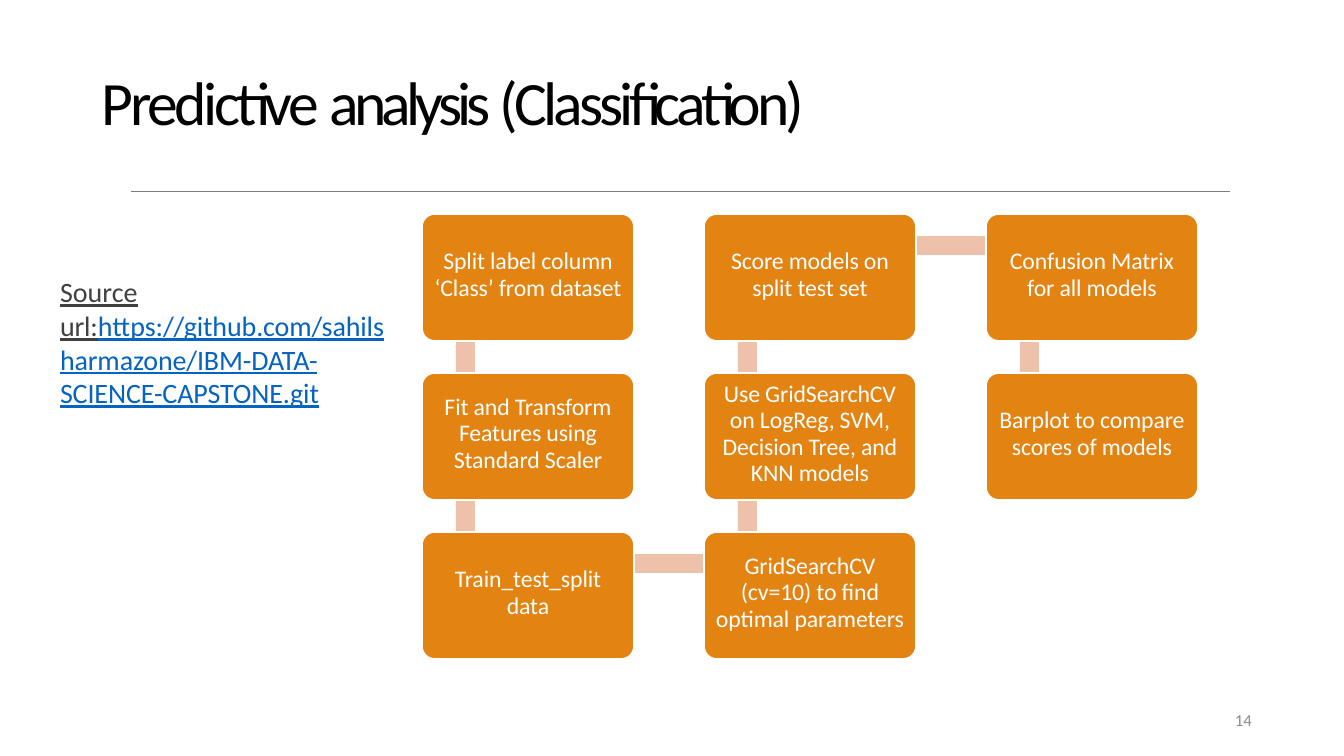
import pptx
import pptx.util
import pptx.dml.color
import pptx.enum.shapes
import pptx.enum.text
import pptx.oxml

SCALE = 914400 / 100.8
COLORS = {
    "rule": "7D7D7D", "title": "000000", "number": "8C8C8C", "label": "404040",
    "url": "0563C1", "card": "E28312", "bar": "EDC1AA", "white": "FFFFFF",
}
SHAPES = pptx.enum.shapes.MSO_SHAPE
ALIGN = pptx.enum.text.PP_ALIGN
ANCHOR = pptx.enum.text.MSO_ANCHOR


def px(*lengths):
    return [round(length * SCALE) for length in lengths]


def write(frame, pieces, size, anchor, align, margins=(0, 0, 0, 0), line_spacing=None):
    """Fill a text frame with one paragraph of (text, colour, tracking, underline) pieces."""
    left, top, right, bottom = px(*margins)
    frame_format = {
        "word_wrap": True, "auto_size": pptx.enum.text.MSO_AUTO_SIZE.NONE,
        "vertical_anchor": anchor, "margin_left": left, "margin_top": top,
        "margin_right": right, "margin_bottom": bottom,
    }
    for name, value in frame_format.items():
        setattr(frame, name, value)
    para = frame.paragraphs[0]
    para.alignment = align
    para.line_spacing = line_spacing
    for text, color, tracking, underline in pieces:
        for index, line in enumerate(text.split("\n")):
            if index:
                para.add_line_break()
            span = para.add_run()
            span.text = line
            font_format = {"name": "Calibri", "size": pptx.util.Pt(size), "underline": underline}
            for name, value in font_format.items():
                setattr(span.font, name, value)
            span.font.color.rgb = pptx.dml.color.RGBColor.from_string(COLORS[color])
            span.font._element.set("spc", str(tracking))


deck = pptx.Presentation()
deck.slide_width, deck.slide_height = px(1344, 756)
slide = deck.slides.add_slide(deck.slide_layouts[5])

# Title and the rule below it
title = slide.shapes.title
title.left, title.top, title.width, title.height = px(102, 59, 873, 84)
title_pieces = [
    ("Predictive ", "title", -250, None),
    ("analysis ", "title", -350, None),
    ("(Classification)", "title", -280, None),
]
write(title.text_frame, title_pieces, 44, ANCHOR.MIDDLE, ALIGN.LEFT)

rule = slide.shapes.add_connector(
    pptx.enum.shapes.MSO_CONNECTOR.STRAIGHT, *px(131, 191, 1230, 191))
rule.line.width = pptx.util.Pt(0.48)
rule.line.color.rgb = pptx.dml.color.RGBColor.from_string(COLORS["rule"])
rule._element.spPr.append(pptx.oxml.parse_xml(
    '<a:effectLst xmlns:a="http://schemas.openxmlformats.org/drawingml/2006/main"/>'))

# Repository address and slide number
address = slide.shapes.add_textbox(*px(59, 274, 338, 172))
address_pieces = [
    ("Source", "label", 0, True),
    (" ", "label", -90, True),
    ("url:", "label", -10, True),
    ("https://github.com/sahilsharmazone/IBM-DATA-SCIENCE-CAPSTONE.git", "url", -10, True),
]
write(address.text_frame, address_pieces, 20, ANCHOR.TOP, ALIGN.LEFT, (1, 1, 0, 0))

number = slide.shapes.add_textbox(*px(950, 700, 302, 40))
write(number.text_frame, [("14", "number", 0, None)], 12, ANCHOR.MIDDLE, ALIGN.RIGHT)

# Flow: column, row and wording of each step, in order
steps = [
    (0, 0, "Split label column\n‘Class’ from dataset"),
    (0, 1, "Fit and Transform\nFeatures using\nStandard Scaler"),
    (0, 2, "Train_test_split\ndata"),
    (1, 2, "GridSearchCV\n(cv=10) to find\noptimal parameters"),
    (1, 1, "Use GridSearchCV\non LogReg, SVM,\nDecision Tree, and\nKNN models"),
    (1, 0, "Score models on\nsplit test set"),
    (2, 0, "Confusion Matrix\nfor all models"),
    (2, 1, "Barplot to compare\nscores of models"),
]
LEFT, TOP, COLUMN_STEP, ROW_STEP = 422, 214, 282, 159
CARD_WIDTH, CARD_HEIGHT, BAR = 212, 127, 19

for (column, row, _), (next_column, next_row, _) in zip(steps, steps[1:]):
    x = LEFT + COLUMN_STEP * min(column, next_column)
    y = TOP + ROW_STEP * min(row, next_row)
    if column == next_column:
        place = px(x + 34, y + 32, BAR, ROW_STEP)
    else:
        place = px(x + 43, y + 22, COLUMN_STEP, BAR)
    bar = slide.shapes.add_shape(SHAPES.RECTANGLE, *place)
    bar.shadow.inherit = False
    bar.fill.solid()
    bar.fill.fore_color.rgb = pptx.dml.color.RGBColor.from_string(COLORS["bar"])
    bar.line.fill.background()

for column, row, wording in steps:
    card = slide.shapes.add_shape(SHAPES.ROUNDED_RECTANGLE, *px(
        LEFT + COLUMN_STEP * column, TOP + ROW_STEP * row, CARD_WIDTH, CARD_HEIGHT))
    card.adjustments[0] = 0.1
    card.shadow.inherit = False
    card.fill.solid()
    card.fill.fore_color.rgb = pptx.dml.color.RGBColor.from_string(COLORS["card"])
    card.line.width = pptx.util.Pt(1.2)
    card.line.color.rgb = pptx.dml.color.RGBColor.from_string(COLORS["white"])
    write(card.text_frame, [(wording, "white", -10, None)], 17, ANCHOR.MIDDLE,
          ALIGN.CENTER, (0, 0, 0, 6), pptx.util.Pt(19))

deck.save("out.pptx")
